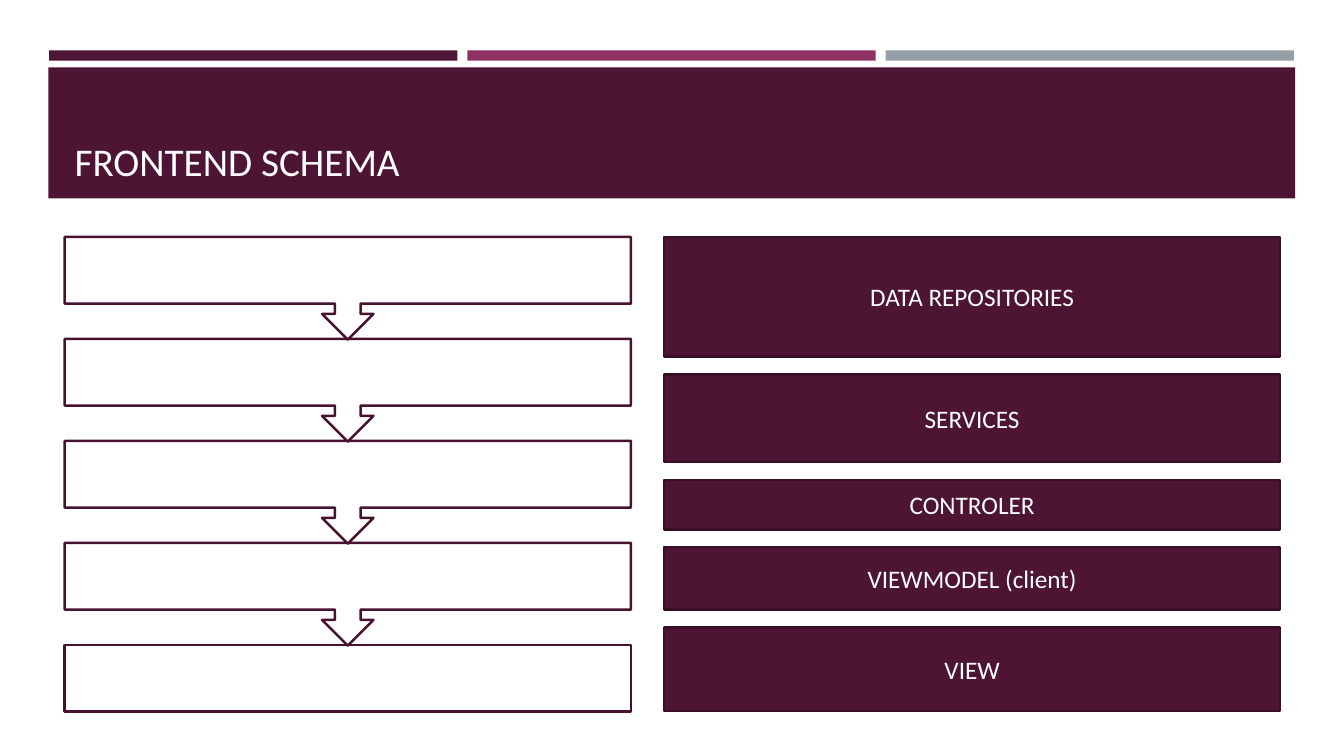
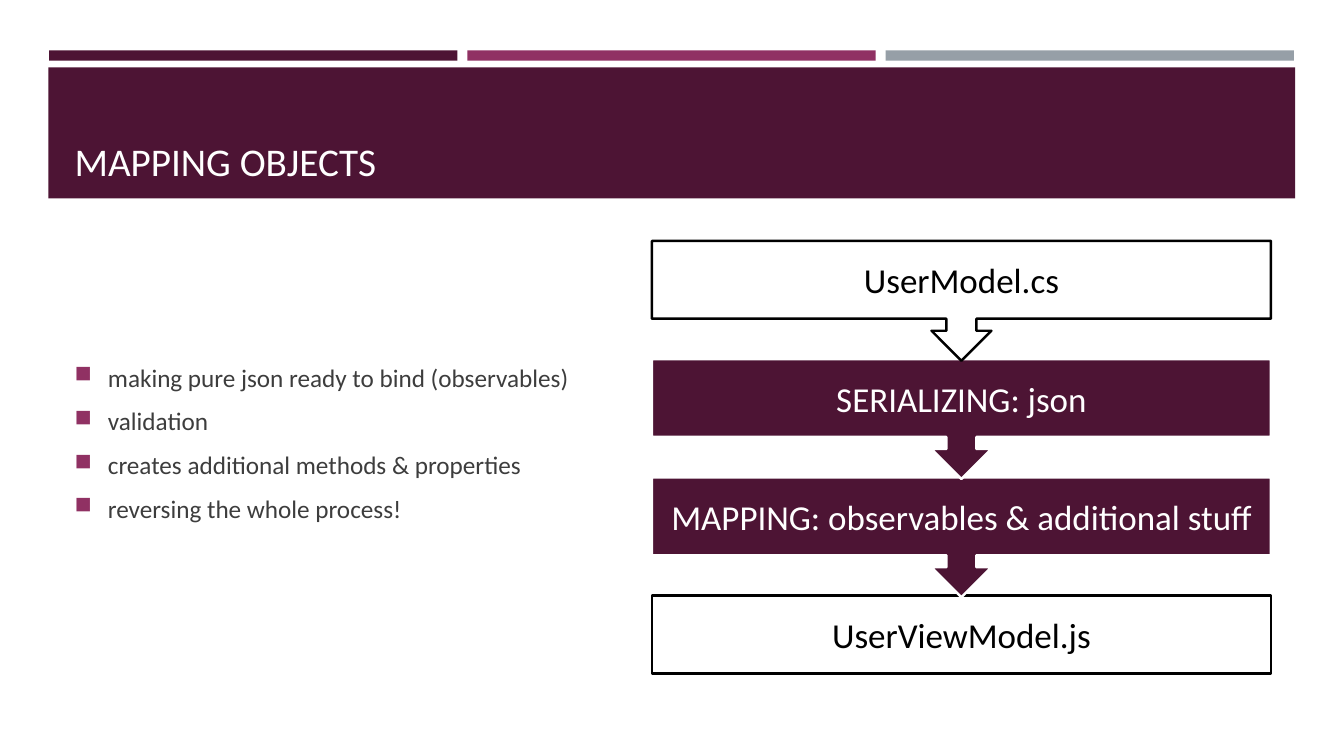
from lxml.etree import SubElement
from pptx import Presentation
from pptx.dml.color import RGBColor
from pptx.enum.shapes import MSO_SHAPE
from pptx.enum.text import MSO_ANCHOR, PP_ALIGN
from pptx.oxml.ns import qn
from pptx.util import Cm, Pt

FONT = "Calibri"
PLUM, MAGENTA, GREY = "4D1434", "903163", "969FA7"
PLUM_EDGE, PLUM_DARK = "46122F", "390F26"
WHITE, BLACK, BODY = "FFFFFF", "000000", "3D3D3D"


def rgb(value):
    """Turn a hex string into a colour."""
    return RGBColor.from_string(value)


def style_text(frame, text, size, color, align, anchor):
    """Write one paragraph per line of text in a uniform style."""
    frame.word_wrap = True
    frame.vertical_anchor = anchor
    frame.text = text
    for paragraph in frame.paragraphs:
        paragraph.alignment = align
        paragraph.font.name = FONT
        paragraph.font.size = Pt(size)
        paragraph.font.color.rgb = rgb(color)


def add_box(slide, box, fill, line=None, kind=MSO_SHAPE.RECTANGLE):
    """Draw a filled shape with an optional outline; box is in centimetres."""
    shape = slide.shapes.add_shape(kind, *map(Cm, box))
    shape.shadow.inherit = False
    shape.fill.solid()
    shape.fill.fore_color.rgb = rgb(fill)
    if line:
        shape.line.color.rgb = rgb(line)
        shape.line.width = Pt(1.75)
    else:
        shape.line.fill.background()
    return shape


def add_label(shape, text, size, color):
    """Centre a label in a shape."""
    frame = shape.text_frame
    frame.margin_left = frame.margin_right = Cm(0.25)
    frame.margin_top = frame.margin_bottom = 0
    style_text(frame, text, size, color, PP_ALIGN.CENTER, MSO_ANCHOR.MIDDLE)


def add_text(slide, box, text, size, color, anchor):
    """Add a left-aligned text box and return its text frame."""
    frame = slide.shapes.add_textbox(*map(Cm, box)).text_frame
    style_text(frame, text, size, color, PP_ALIGN.LEFT, anchor)
    return frame


def add_titled_slide(prs, title):
    """Add a slide with the three strips and the title band."""
    slide = prs.slides.add_slide(prs.slide_layouts[6])
    for column, color in enumerate((PLUM, MAGENTA, GREY)):
        add_box(slide, (1.24 + column * 10.54, 1.27, 10.29, 0.26), color)
    add_box(slide, (1.22, 1.7, 31.42, 3.3), PLUM)
    add_text(slide, (1.63, 1.96, 30.63, 2.82), title, 28, WHITE, MSO_ANCHOR.BOTTOM)
    return slide


def add_flow(slide, left, top, width, pitch, callout_height, steps):
    """Stack arrow callouts that end in a plain box, the last step at the back."""
    last = len(steps) - 1
    for index, (text, fill, line, color) in reversed(list(enumerate(steps))):
        kind, height = MSO_SHAPE.DOWN_ARROW_CALLOUT, callout_height
        if index == last:
            kind, height = MSO_SHAPE.RECTANGLE, callout_height * 0.65
        box = (left, top + index * pitch, width, height)
        step = add_box(slide, box, fill, line, kind)
        if text:
            add_label(step, text, 25, color)


def add_layers(slide, left, top, width, gap, layers):
    """Stack labelled boxes of varying height with equal gaps."""
    for text, height in layers:
        layer = add_box(slide, (left, top, width, height), PLUM, PLUM_DARK)
        add_label(layer, text, 18, WHITE)
        top += height + gap


def add_bullets(slide, box, lines):
    """Add a list with square bullets."""
    frame = add_text(slide, box, "\n".join(lines), 18, BODY, MSO_ANCHOR.MIDDLE)
    for paragraph in frame.paragraphs:
        paragraph.space_before = Pt(3.6)
        paragraph.space_after = Pt(6)
        properties = paragraph._p.get_or_add_pPr()
        properties.set("marL", str(Cm(0.84)))
        properties.set("indent", str(-Cm(0.84)))
        bullet_color = SubElement(properties, qn("a:buClr"))
        SubElement(bullet_color, qn("a:srgbClr"), val=MAGENTA)
        SubElement(properties, qn("a:buSzPct"), val="92000")
        SubElement(properties, qn("a:buChar"), char="■")


def build_frontend_schema(prs):
    """Build the slide with the frontend layers."""
    slide = add_titled_slide(prs, "FRONTEND SCHEMA")
    blank_step = ("", WHITE, PLUM_EDGE, BLACK)
    add_flow(slide, 1.63, 5.97, 14.27, 2.57, 2.59, [blank_step] * 5)
    add_layers(slide, 16.74, 5.97, 15.52, 0.45, [
        ("DATA REPOSITORIES", 3.02),
        ("SERVICES", 2.21),
        ("CONTROLER", 1.24),
        ("VIEWMODEL (client)", 1.57),
        ("VIEW", 2.11),
    ])


def build_mapping_objects(prs):
    """Build the slide with the mapping steps."""
    slide = add_titled_slide(prs, "MAPPING OBJECTS")
    add_bullets(slide, (1.63, 6.05, 30.63, 10.21), [
        "making pure json ready to bind (observables)",
        "validation",
        "creates additional methods & properties",
        "reversing the whole process!",
    ])
    model_colors = (WHITE, BLACK, BLACK)
    process_colors = (PLUM, WHITE, WHITE)
    add_flow(slide, 16.43, 6.07, 15.6, 2.98, 3.02, [
        ("UserModel.cs", *model_colors),
        ("SERIALIZING: json", *process_colors),
        ("MAPPING: observables & additional stuff", *process_colors),
        ("UserViewModel.js", *model_colors),
    ])


def main():
    """Build and save the presentation."""
    prs = Presentation()
    prs.slide_width, prs.slide_height = Cm(33.87), Cm(19.05)
    build_frontend_schema(prs)
    build_mapping_objects(prs)
    prs.save("out.pptx")


if __name__ == "__main__":
    main()
